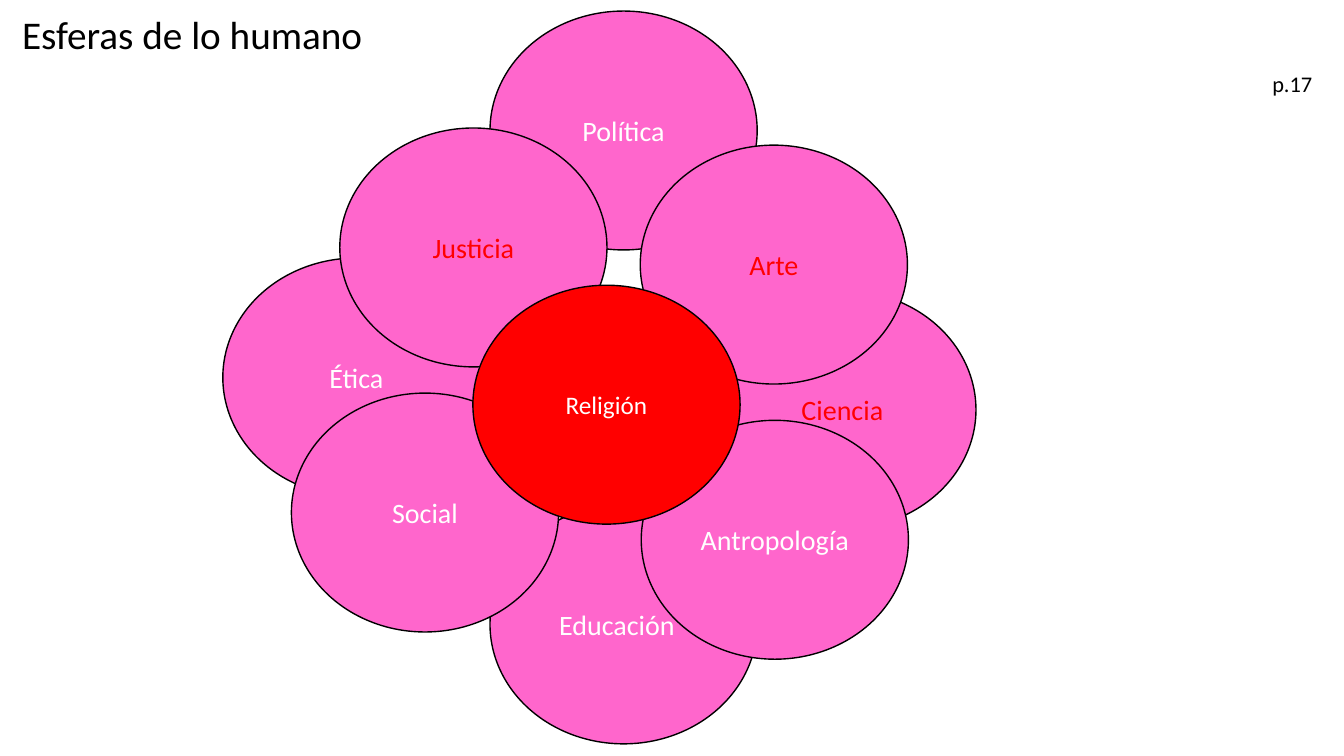
from pptx import Presentation
from pptx.dml.color import RGBColor
from pptx.enum.shapes import MSO_SHAPE as Shape
from pptx.enum.text import MSO_ANCHOR as Anchor, PP_ALIGN as Align
from pptx.util import Inches, Pt

PINK, RED, WHITE, BLACK = "FF66CC", "FF0000", "FFFFFF", "000000"


def color(value):
    return RGBColor.from_string(value)


def write(frame, text, size=20, ink=BLACK, font="Calibri", align=Align.LEFT,
          anchor=Anchor.TOP, spacing=1.0):
    frame.word_wrap = True
    frame.vertical_anchor = anchor
    paragraph = frame.paragraphs[0]
    paragraph.alignment = align
    paragraph.line_spacing = spacing
    run = paragraph.add_run()
    run.text = text
    run.font.name = font
    run.font.size = Pt(size)
    run.font.color.rgb = color(ink)


class Flower:
    petal_width = 2.65
    petal_height = 2.37

    def __init__(self, slide):
        self.slide = slide

    def label(self, text, left, top, width, height, size):
        box = self.slide.shapes.add_textbox(
            Inches(left), Inches(top), Inches(width), Inches(height))
        write(box.text_frame, text, size=size, spacing=0.9)

    def sphere(self, text, left, top, ink=WHITE, fill=PINK, size=20, right_inset=0.1):
        oval = self.slide.shapes.add_shape(
            Shape.OVAL, Inches(left), Inches(top),
            Inches(self.petal_width), Inches(self.petal_height))
        oval.shadow.inherit = False
        oval.fill.solid()
        oval.fill.fore_color.rgb = color(fill)
        oval.line.color.rgb = color(BLACK)
        oval.line.width = Pt(1)
        oval.text_frame.margin_right = Inches(right_inset)
        write(oval.text_frame, text, size=size, ink=ink,
              align=Align.CENTER, anchor=Anchor.MIDDLE)


def main():
    deck = Presentation()
    deck.slide_width = Inches(13.33)
    deck.slide_height = Inches(7.5)
    flower = Flower(deck.slides.add_slide(deck.slide_layouts[6]))

    flower.label("Esferas de lo humano", 0.12, 0.11, 3.99, 0.59, size=28)
    flower.sphere("Política", 4.86, 0.11)
    flower.sphere("Ética", 2.21, 2.56)
    flower.sphere("Ciencia", 7.03, 2.88, ink=RED)
    flower.sphere("Educación", 4.86, 5.01, right_inset=0.23)
    flower.sphere("Arte", 6.35, 1.44, ink=RED)
    flower.sphere("Justicia", 3.37, 1.27, ink=RED)
    flower.sphere("Social", 2.89, 3.9)
    flower.sphere("Antropología", 6.36, 4.17)
    flower.sphere("Religión", 4.69, 2.83, fill=RED, size=18)
    flower.label("p.17", 12.52, 0.68, 0.81, 0.59, size=16)

    deck.save("out.pptx")


if __name__ == "__main__":
    main()
